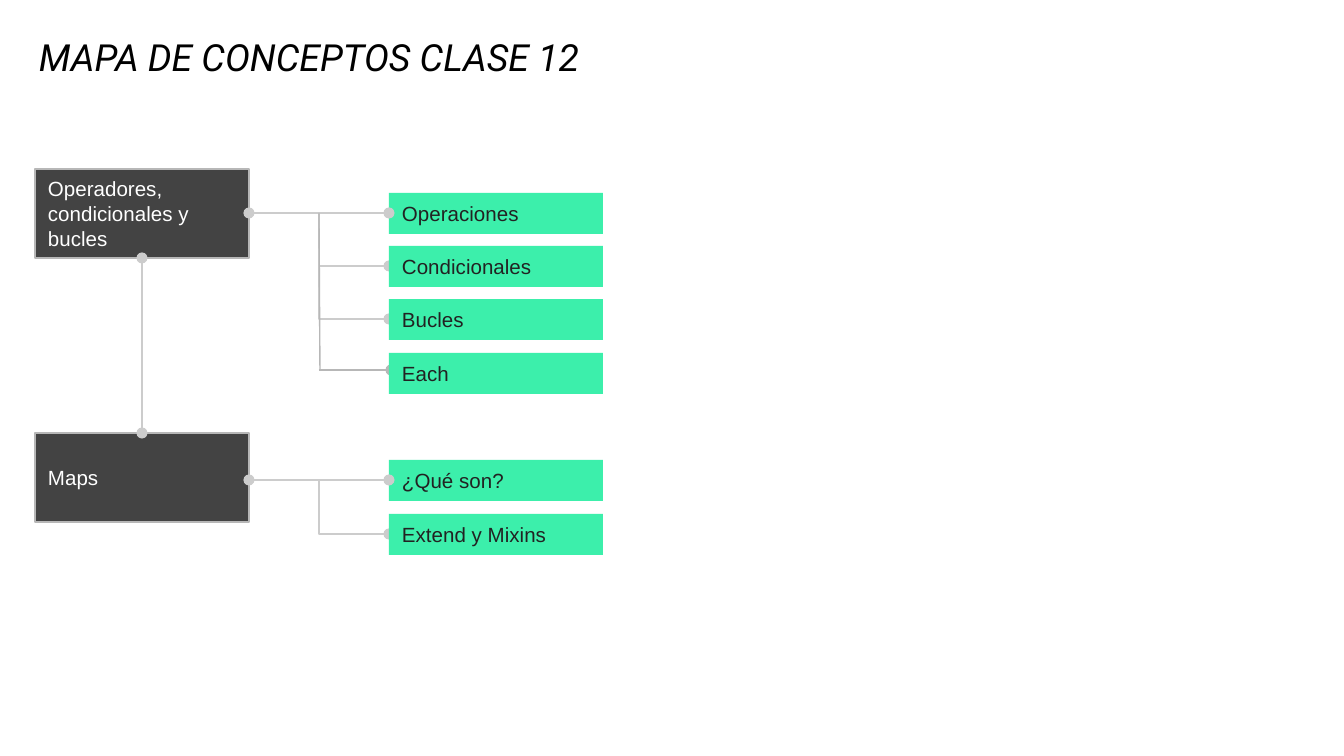
import lxml.etree
import pptx
import pptx.dml.color
import pptx.enum.shapes
import pptx.enum.text
import pptx.oxml.ns
import pptx.util

RGBColor = pptx.dml.color.RGBColor
BLACK = RGBColor(0x00, 0x00, 0x00)
WHITE = RGBColor(0xFF, 0xFF, 0xFF)
INK = RGBColor(0x22, 0x22, 0x22)
CHARCOAL = RGBColor(0x43, 0x43, 0x43)
GREEN = RGBColor(0x3C, 0xEF, 0xAB)
LIGHT_GRAY = RGBColor(0xCC, 0xCC, 0xCC)
MID_GRAY = RGBColor(0xB7, 0xB7, 0xB7)

STRAIGHT = pptx.enum.shapes.MSO_CONNECTOR.STRAIGHT
ELBOW = pptx.enum.shapes.MSO_CONNECTOR.ELBOW
ANCHOR = pptx.enum.text.MSO_ANCHOR

EMU_PER_PX = 914400 / 134.4
INSET = 13
BOX_WIDTH = 214
TOPIC_LEFT, TOPIC_HEIGHT = 35, 89
CONCEPT_LEFT, CONCEPT_HEIGHT = 389, 41
TOPIC_RIGHT = TOPIC_LEFT + BOX_WIDTH
TRUNK_X = (TOPIC_RIGHT + CONCEPT_LEFT) // 2


def px(length):
    return pptx.util.Emu(round(length * EMU_PER_PX))


def write_text(shape, text, font_name, size, color, anchor, italic=False):
    frame = shape.text_frame
    frame.word_wrap = True
    frame.auto_size = pptx.enum.text.MSO_AUTO_SIZE.NONE
    frame.vertical_anchor = anchor
    frame.margin_left = frame.margin_right = px(INSET)
    frame.margin_top = frame.margin_bottom = px(INSET)
    paragraph = frame.paragraphs[0]
    paragraph.alignment = pptx.enum.text.PP_ALIGN.LEFT
    run = paragraph.add_run()
    run.text = text
    run.font.name = font_name
    run.font.size = pptx.util.Pt(size)
    run.font.italic = italic
    run.font.color.rgb = color


def add_title(slide, text):
    title = slide.shapes.title
    title.left, title.top = px(26), px(30)
    title.width, title.height = px(1110), px(62)
    write_text(title, text, "Roboto", 20, BLACK, ANCHOR.BOTTOM, italic=True)


def add_box(slide, left, top, height, text, fill, color):
    box = slide.shapes.add_shape(
        pptx.enum.shapes.MSO_SHAPE.RECTANGLE,
        px(left), px(top), px(BOX_WIDTH), px(height))
    box.shadow.inherit = False
    box.fill.solid()
    box.fill.fore_color.rgb = fill
    box.line.fill.background()
    write_text(box, text, "Arial", 11, color, ANCHOR.MIDDLE)
    return box


def add_topic(slide, top, text):
    box = add_box(slide, TOPIC_LEFT, top, TOPIC_HEIGHT, text, CHARCOAL, WHITE)
    box.line.color.rgb = MID_GRAY
    box.line.width = pptx.util.Pt(0.75)


def add_concept(slide, top, text):
    add_box(slide, CONCEPT_LEFT, top, CONCEPT_HEIGHT, text, GREEN, INK)


def add_link(slide, kind, start, end, color=LIGHT_GRAY, dots=("headEnd", "tailEnd")):
    link = slide.shapes.add_connector(
        kind, px(start[0]), px(start[1]), px(end[0]), px(end[1]))
    link.line.color.rgb = color
    link.line.width = pptx.util.Pt(0.75)
    line = link.line._get_or_add_ln()
    for dot in dots:
        lxml.etree.SubElement(line, pptx.oxml.ns.qn("a:" + dot), type="oval")
    properties = link._element.spPr
    lxml.etree.SubElement(properties, pptx.oxml.ns.qn("a:effectLst"))


def add_branch(slide, concepts):
    first_top, first_text = concepts[0]
    start_y = first_top + CONCEPT_HEIGHT // 2
    add_concept(slide, first_top, first_text)
    add_link(slide, STRAIGHT, (TOPIC_RIGHT, start_y), (CONCEPT_LEFT, start_y))
    for top, text in concepts[1:]:
        end_y = top + CONCEPT_HEIGHT // 2
        add_link(slide, ELBOW, (TOPIC_RIGHT, start_y), (CONCEPT_LEFT, end_y),
                 dots=("tailEnd",))
        add_concept(slide, top, text)


def main():
    presentation = pptx.Presentation()
    presentation.slide_width = px(1344)
    presentation.slide_height = px(756)
    slide = presentation.slides.add_slide(presentation.slide_layouts[5])
    add_title(slide, "MAPA DE CONCEPTOS CLASE 12")

    operators_top, maps_top = 169, 433
    add_topic(slide, maps_top, "Maps")
    add_topic(slide, operators_top, "Operadores, condicionales y bucles")
    topic_center = TOPIC_LEFT + BOX_WIDTH // 2
    add_link(slide, STRAIGHT, (topic_center, operators_top + TOPIC_HEIGHT),
             (topic_center, maps_top))

    add_branch(slide, [(460, "¿Qué son?"), (514, "Extend y Mixins")])
    add_branch(slide, [(193, "Operaciones"), (246, "Condicionales"), (299, "Bucles")])

    each_y = 370
    add_link(slide, STRAIGHT, (TRUNK_X, 213), (TRUNK_X + 1, each_y), MID_GRAY, dots=())
    add_link(slide, STRAIGHT, (TRUNK_X, each_y), (CONCEPT_LEFT + 2, each_y), MID_GRAY,
             dots=("tailEnd",))
    add_concept(slide, 353, "Each")

    presentation.save("out.pptx")


if __name__ == "__main__":
    main()
